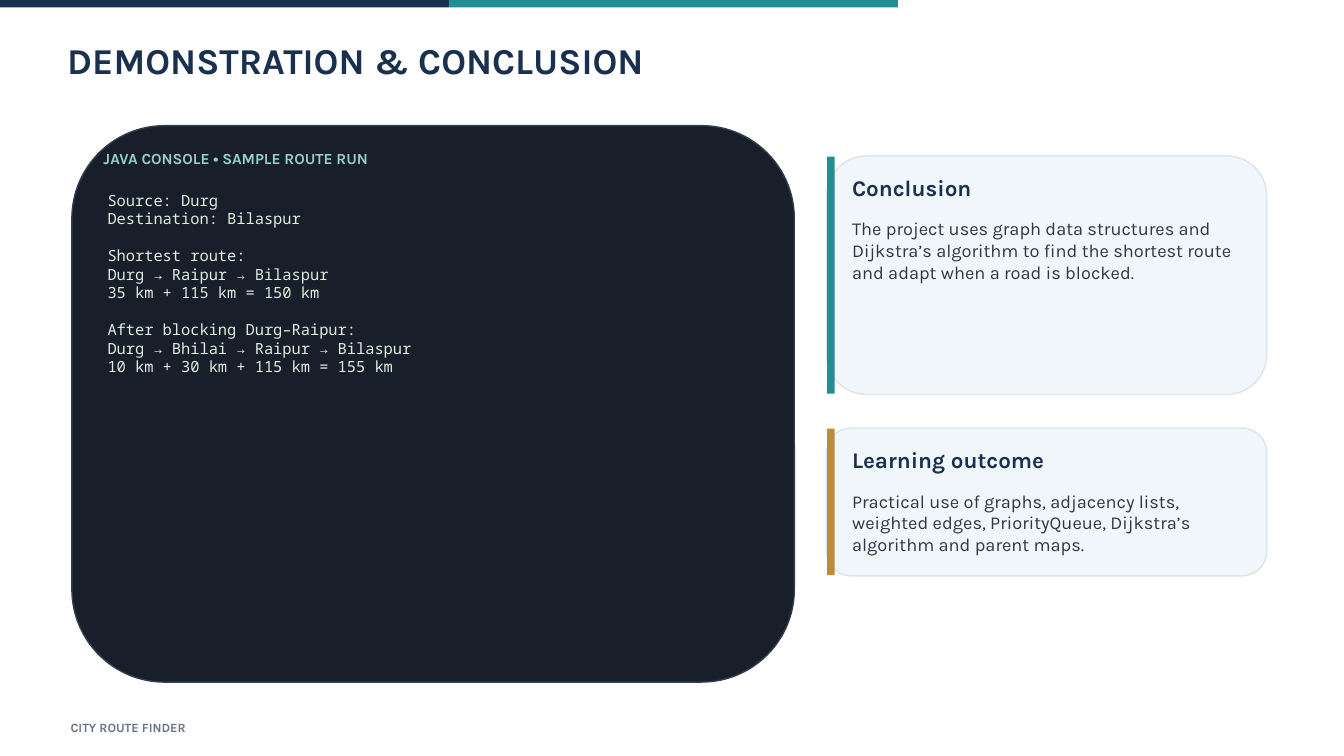
"""Build the demonstration and conclusion slide of a route finder deck."""

from dataclasses import dataclass

from pptx import Presentation
from pptx.dml.color import RGBColor
from pptx.enum.shapes import MSO_SHAPE
from pptx.enum.text import MSO_ANCHOR, PP_ALIGN
from pptx.shapes.autoshape import Shape
from pptx.slide import Slide
from pptx.util import Inches, Pt

RECTANGLE = MSO_SHAPE.RECTANGLE
ROUNDED = MSO_SHAPE.ROUNDED_RECTANGLE
TOP = MSO_ANCHOR.TOP
LEFT = PP_ALIGN.LEFT

NAVY = RGBColor(0x19, 0x30, 0x4E)
TEAL = RGBColor(0x23, 0x8E, 0x91)
GOLD = RGBColor(0xBF, 0x8B, 0x39)
GREY = RGBColor(0x68, 0x74, 0x84)
INK = RGBColor(0x2D, 0x37, 0x44)
CONSOLE_FILL = RGBColor(0x18, 0x1F, 0x2A)
CONSOLE_EDGE = RGBColor(0x30, 0x3E, 0x4E)
CONSOLE_LABEL = RGBColor(0x96, 0xCD, 0xCD)
CONSOLE_TEXT = RGBColor(0xDC, 0xEE, 0xE2)
CARD_FILL = RGBColor(0xF1, 0xF6, 0xFA)
CARD_EDGE = RGBColor(0xDC, 0xE4, 0xEC)

SANS = "Karla"
MONO = "Noto Sans Mono"
LINE_HEIGHT = 1.2
BAR_WIDTH = 6.68
STRIPE = 0.11
CARD_LEFT = 12.3
CARD_WIDTH = 6.55


@dataclass(frozen=True)
class Box:
    """Hold a position and size in inches."""

    left: float
    top: float
    width: float
    height: float

    def lengths(self) -> tuple[Inches, Inches, Inches, Inches]:
        """Return the box as slide lengths."""
        return Inches(self.left), Inches(self.top), Inches(self.width), Inches(self.height)


@dataclass(frozen=True)
class Card:
    """Describe a takeaway card with a coloured side stripe."""

    top: float
    height: float
    accent: RGBColor
    heading: str
    body: str


CONSOLE_GROUPS = [
    ["Source: Durg", "Destination: Bilaspur"],
    ["Shortest route:", "Durg → Raipur → Bilaspur", "35 km + 115 km = 150 km"],
    [
        "After blocking Durg–Raipur:",
        "Durg → Bhilai → Raipur → Bilaspur",
        "10 km + 30 km + 115 km = 155 km",
    ],
]

CARDS = [
    Card(2.32, 3.55, TEAL, "Conclusion",
         "The project uses graph data structures and Dijkstra’s algorithm "
         "to find the shortest route and adapt when a road is blocked."),
    Card(6.37, 2.2, GOLD, "Learning outcome",
         "Practical use of graphs, adjacency lists, weighted edges, "
         "PriorityQueue, Dijkstra’s algorithm and parent maps."),
]


def add_panel(slide: Slide, box: Box, fill: RGBColor, *,
              preset: MSO_SHAPE = RECTANGLE, edge: RGBColor | None = None) -> Shape:
    """Draw a filled panel, outlined when an edge colour is given."""
    panel = slide.shapes.add_shape(preset, *box.lengths())
    panel.shadow.inherit = False
    panel.fill.solid()
    panel.fill.fore_color.rgb = fill
    if edge is None:
        panel.line.fill.background()
    else:
        panel.line.color.rgb = edge
        panel.line.width = Pt(1.5)
    return panel


def add_text(slide: Slide, box: Box, groups: list[list[str]], *, size: float,
             color: RGBColor, font: str = SANS, bold: bool = False,
             leading: float | None = None) -> None:
    """Write groups of lines, with one line of space between groups."""
    frame = slide.shapes.add_textbox(*box.lengths()).text_frame
    frame.word_wrap = True
    frame.vertical_anchor = TOP
    frame.margin_left = frame.margin_right = frame.margin_top = frame.margin_bottom = 0
    pitch = Pt(leading or size * LINE_HEIGHT)
    first = True
    for group in groups:
        for index, line in enumerate(group):
            paragraph = frame.paragraphs[0] if first else frame.add_paragraph()
            paragraph.alignment = LEFT
            paragraph.line_spacing = pitch
            if index == 0 and not first:
                paragraph.space_before = pitch
            run = paragraph.add_run()
            run.text = line
            run.font.name = font
            run.font.size = Pt(size)
            run.font.bold = bold
            run.font.color.rgb = color
            first = False


def add_card(slide: Slide, card: Card) -> None:
    """Draw a card with its stripe, heading and body."""
    add_panel(slide, Box(CARD_LEFT, card.top, CARD_WIDTH, card.height), CARD_FILL,
              preset=ROUNDED, edge=CARD_EDGE)
    add_panel(slide, Box(CARD_LEFT + 0.01, card.top + 0.01, STRIPE, card.height - 0.02),
              card.accent)
    text_left = CARD_LEFT + 0.38
    add_text(slide, Box(text_left, card.top + 0.27, 5.86, 0.44), [[card.heading]],
             size=24, color=NAVY, bold=True)
    add_text(slide, Box(text_left, card.top + 0.92, 5.82, card.height - 1.13),
             [[card.body]], size=19.5, color=INK)


def main() -> None:
    """Assemble and save the slide."""
    presentation = Presentation()
    presentation.slide_width = Inches(20)
    presentation.slide_height = Inches(11.25)
    slide = presentation.slides.add_slide(presentation.slide_layouts[6])

    for position, color in enumerate((NAVY, TEAL)):
        add_panel(slide, Box(position * BAR_WIDTH, 0, BAR_WIDTH, STRIPE), color)
    add_text(slide, Box(1, 0.57, 17.72, 0.76), [["DEMONSTRATION & CONCLUSION"]],
             size=39, color=NAVY, bold=True)
    add_text(slide, Box(1.05, 10.72, 11.87, 0.24), [["CITY ROUTE FINDER"]],
             size=13.5, color=GREY, bold=True)

    add_panel(slide, Box(1.07, 1.87, 10.75, 8.28), CONSOLE_FILL,
              preset=ROUNDED, edge=CONSOLE_EDGE)
    add_text(slide, Box(1.54, 2.22, 9.62, 0.35), [["JAVA CONSOLE • SAMPLE ROUTE RUN"]],
             size=16.5, color=CONSOLE_LABEL, bold=True)
    add_text(slide, Box(1.6, 2.84, 9.78, 6.91), CONSOLE_GROUPS,
             size=16.5, color=CONSOLE_TEXT, font=MONO)

    for card in CARDS:
        add_card(slide, card)

    presentation.save("out.pptx")


if __name__ == "__main__":
    main()
